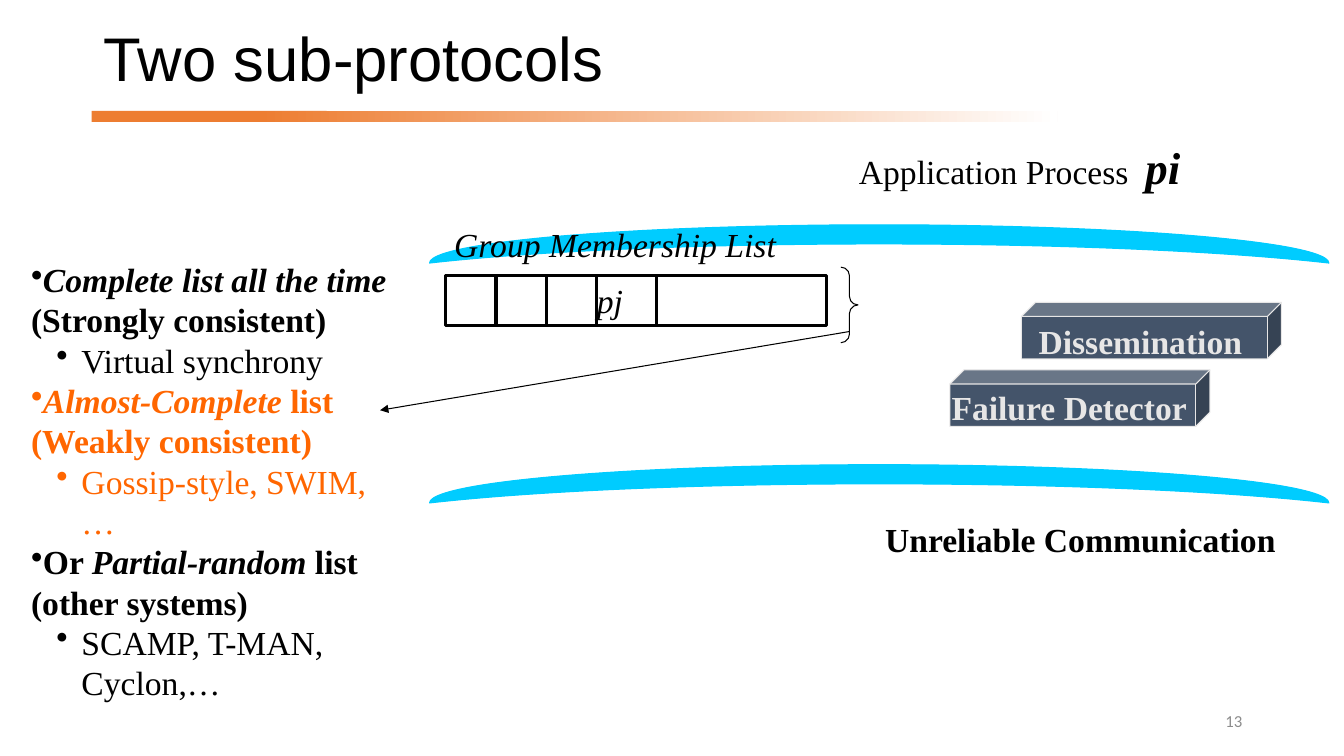
from lxml import etree
from pptx import Presentation
from pptx.dml.color import RGBColor
from pptx.enum.shapes import MSO_CONNECTOR, MSO_SHAPE
from pptx.enum.text import MSO_ANCHOR, PP_ALIGN
from pptx.oxml.ns import qn
from pptx.util import Inches, Pt

LEFT, CENTER, RIGHT = PP_ALIGN.LEFT, PP_ALIGN.CENTER, PP_ALIGN.RIGHT
TOP, MIDDLE = MSO_ANCHOR.TOP, MSO_ANCHOR.MIDDLE
RECT, CUBE, MOON = MSO_SHAPE.RECTANGLE, MSO_SHAPE.CUBE, MSO_SHAPE.MOON
BRACE, STRAIGHT = MSO_SHAPE.RIGHT_BRACE, MSO_CONNECTOR.STRAIGHT

SERIF = "Times New Roman"
BLACK, WHITE, ORANGE, ACCENT = "000000", "FFFFFF", "FF6600", "ED7D31"
SLATE, PALE, CYAN, GREY = "44546A", "E7E6E6", "00CCFF", "8C8C8C"

MEMBERSHIP_KINDS = [
    (BLACK, [("Complete list all the time ", True), ("(Strongly consistent)", False)],
     "Virtual synchrony"),
    (ORANGE, [("Almost-Complete ", True), ("list (Weakly consistent)", False)],
     "Gossip-style, SWIM, …"),
    (BLACK, [("Or ", False), ("Partial-random", True), (" list (other systems)", False)],
     "SCAMP, T-MAN, Cyclon,…"),
]
SUB_PROTOCOLS = [
    ("Dissemination", (10.13, 3), (10.19, 3.13, 2.24, 0.51)),
    ("Failure Detector", (9.42, 3.67), (9.33, 3.79, 2.55, 0.51)),
]
MOON_TOPS = [-2.04, 0.34]
LIST_LEFT, LIST_TOP, LIST_WIDTH, LIST_HEIGHT = 4.42, 2.73, 3.78, 0.5
DIVIDERS = [4.92, 5.42, 5.92, 6.51]


def rgb(value):
    return RGBColor.from_string(value)


def set_font(font, size, color=BLACK, name=SERIF, bold=False, italic=False):
    font.size, font.name, font.bold, font.italic = Pt(size), name, bold, italic
    font.color.rgb = rgb(color)


def add_shape(kind, box, fill=None, line=None, width=0.75):
    sp = s.shapes.add_shape(kind, *map(Inches, box))
    sp.shadow.inherit = False
    if fill:
        sp.fill.solid()
        sp.fill.fore_color.rgb = rgb(fill)
    else:
        sp.fill.background()
    if line:
        sp.line.color.rgb = rgb(line)
        sp.line.width = Pt(width)
    else:
        sp.line.fill.background()
    return sp


def add_line(start, end, width):
    cx = s.shapes.add_connector(STRAIGHT, *map(Inches, start + end))
    cx.line.color.rgb = rgb(BLACK)
    cx.line.width = Pt(width)
    etree.SubElement(cx._element.spPr, qn("a:effectLst"))
    return cx


def add_text(box, text, size, align=LEFT, anchor=TOP, wrap=True, **style):
    tf = s.shapes.add_textbox(*map(Inches, box)).text_frame
    tf.word_wrap, tf.vertical_anchor = wrap, anchor
    p = tf.paragraphs[0]
    p.text, p.alignment = text, align
    set_font(p.font, size, **style)
    return p


def set_bullet(p, margin, indent):
    pPr = p._p.get_or_add_pPr()
    pPr.set("marL", str(Inches(margin)))
    pPr.set("indent", str(Inches(indent)))
    bullet = pPr.makeelement(qn("a:buChar"), {"char": "•"})
    pPr.insert_element_before(bullet, "a:tabLst", "a:defRPr", "a:extLst")


prs = Presentation()
prs.slide_width, prs.slide_height = Inches(13.33), Inches(7.5)
s = prs.slides.add_slide(prs.slide_layouts[6])

add_shape(RECT, (0.91, 1.1, 2.33, 0.11), ACCENT)
fade = add_shape(RECT, (2.57, 1.1, 7.92, 0.11), ACCENT).fill
fade.gradient()
fade.gradient_angle = 0
for stop, color in zip(fade.gradient_stops, (ACCENT, WHITE)):
    stop.color.rgb = rgb(color)

title = add_text((0.93, 0.17, 11.14, 0.89), "Two sub-protocols", 44, anchor=MIDDLE, name="Arial")
title.line_spacing = 0.9
add_text((9.42, 6.95, 3, 0.4), "13", 12, RIGHT, MIDDLE, color=GREY, name="Calibri")

for label, corner, label_box in SUB_PROTOCOLS:
    add_shape(CUBE, corner + (2.58, 0.56), SLATE, PALE)
    add_text(label_box, label, 24, CENTER, wrap=False, color=PALE, bold=True)

for top in MOON_TOPS:
    add_shape(MOON, (8.53, top, 0.38, 8.92), CYAN, CYAN).rotation = 90

add_text((4.02, 2.17, 4.16, 0.5), "Group Membership List", 24, CENTER, italic=True)
add_text((8.56, 5.1, 4.31, 0.5), "Unreliable Communication", 24, CENTER, bold=True)

tf = s.shapes.add_textbox(*map(Inches, (0.21, 2.52, 3.92, 4.54))).text_frame
tf.word_wrap = True
for i, (color, heading, example) in enumerate(MEMBERSHIP_KINDS):
    p = tf.add_paragraph() if i else tf.paragraphs[0]
    set_bullet(p, 0, 0)
    for text, italic in heading:
        r = p.add_run()
        r.text = text
        set_font(r.font, 24, color, bold=True, italic=italic)
    p = tf.add_paragraph()
    p.text, p.level = example, 1
    set_font(p.font, 24, color)
    set_bullet(p, 0.5, -0.25)

brace = add_shape(BRACE, (8.34, 2.65, 0.17, 0.75), line=BLACK)
brace.adjustments[0] = 0.5
arrow = add_line((8.42, 3.29), (3.77, 4.07), 0.75)
etree.SubElement(arrow.line._get_or_add_ln(), qn("a:tailEnd"), type="triangle")

member_list = add_shape(RECT, (LIST_LEFT, LIST_TOP, LIST_WIDTH, LIST_HEIGHT), WHITE, BLACK, 2.25)
tf = member_list.text_frame
tf.margin_left, tf.vertical_anchor = Inches(DIVIDERS[2] - LIST_LEFT), TOP
p = tf.paragraphs[0]
p.text, p.alignment = "pj", LEFT
set_font(p.font, 24, italic=True)
for x in DIVIDERS:
    add_line((x, LIST_TOP + LIST_HEIGHT), (x, LIST_TOP), 2.25)

p = add_text((8.42, 1.34, 3.55, 0.64), "Application Process  ", 24, wrap=False)
r = p.add_run()
r.text = "pi"
set_font(r.font, 32, bold=True, italic=True)

prs.save("out.pptx")
